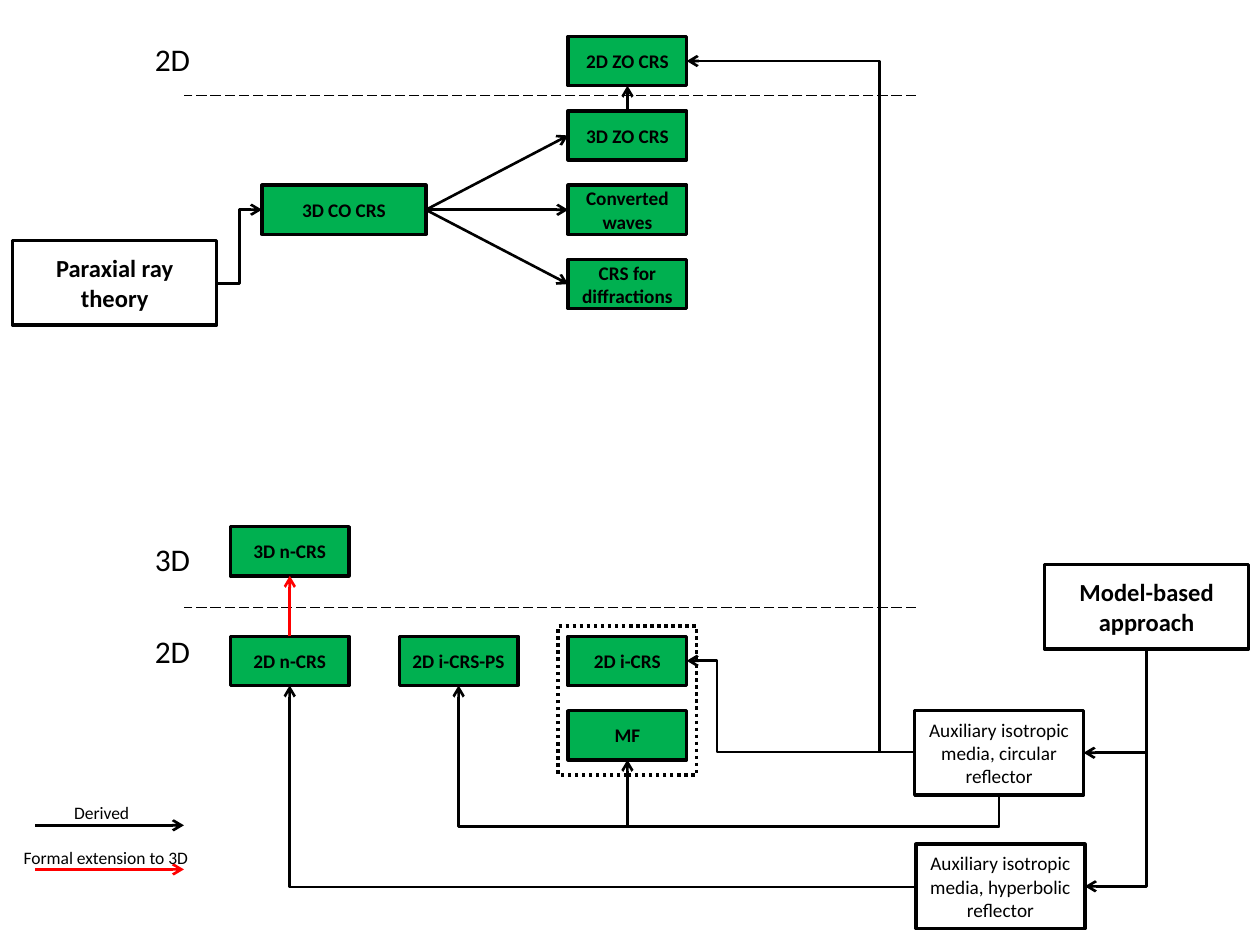
from lxml import etree
from pptx import Presentation
from pptx.dml.color import RGBColor
from pptx.enum.dml import MSO_LINE
from pptx.enum.shapes import MSO_CONNECTOR, MSO_SHAPE
from pptx.enum.text import MSO_ANCHOR, PP_ALIGN
from pptx.oxml.ns import qn
from pptx.util import Inches, Pt

RECT = MSO_SHAPE.RECTANGLE
LINE, ELBOW = MSO_CONNECTOR.STRAIGHT, MSO_CONNECTOR.ELBOW
DASH, DOTS = MSO_LINE.LONG_DASH, MSO_LINE.ROUND_DOT
MIDDLE, CENTER = MSO_ANCHOR.MIDDLE, PP_ALIGN.CENTER

THEME = {
    "font": "Calibri",
    "ink": RGBColor(0x00, 0x00, 0x00),
    "green": RGBColor(0x00, 0xB0, 0x50),
    "red": RGBColor(0xFF, 0x00, 0x00),
    "level": 18, "source": 14, "node": 11, "key": 10,
    "frame": 2, "arrow": 1.5, "rule": 0.75,
}

# Grid in inches: node columns and rows share one size and pitch
WIDE, HIGH = 0.94, 0.39
COLS = [1.83 + 1.34 * i for i in range(3)]
TOP = [0.29 + 0.59 * i for i in range(4)]
LOW = [5.05 + 0.59 * i for i in range(2)]
EXTRA = 4.18
MIDS = [x + WIDE / 2 for x in COLS]
EDGE = COLS[2] + WIDE
ROOT = (2.08, TOP[2], 1.3, HIGH)
RAY = (0.1, 1.91, 1.62, 0.67)
MODEL = (8.29, 4.48, 1.62, 0.67)
ROUND = (7.26, 5.64, 1.34, 0.67)
HYPER = (7.27, 6.7, 1.34, 0.67)
KEY = (0.28, 1.46)

deck = Presentation()
deck.slide_width, deck.slide_height = Inches(10), Inches(7.5)
slide = deck.slides.add_slide(deck.slide_layouts[6])
shapes = slide.shapes


def write(frame, text, size, bold=False):
    frame.text = text
    for run in frame.paragraphs[0].runs:
        run.font.name = THEME["font"]
        run.font.size = Pt(THEME[size])
        run.font.bold = bold
        run.font.color.rgb = THEME["ink"]


def link(start, end, turn=None, bend=None, color="ink", width="arrow", tip="tailEnd"):
    """Join two points; turn is None, "corner", "across" or "down", bend the
    x (across) or y (down) of the middle run, tip the end with the arrowhead."""
    (x1, y1), (x2, y2) = start, end
    if turn == "down":  # lay the box on its side, then rotate it a quarter turn
        cx, cy = (x1 + x2) / 2, (y1 + y2) / 2
        half, rise = (y1 - y2) / 2, (x1 - x2) / 2
        ends = (cx + half, cy - rise, cx - half, cy + rise)
    else:
        ends = (x1, y1, x2, y2)
    wire = shapes.add_connector(ELBOW if turn else LINE, *map(Inches, ends))
    wire.line.color.rgb = THEME[color]
    wire.line.width = Pt(THEME[width])
    props = wire._element.spPr
    shape = props.find(qn("a:prstGeom"))
    if turn == "corner":
        shape.set("prst", "bentConnector2")
    elif turn:
        share = (bend - x1) / (x2 - x1) if turn == "across" else (bend - y1) / (y2 - y1)
        guide = etree.SubElement(shape.find(qn("a:avLst")), qn("a:gd"))
        guide.set("name", "adj1")
        guide.set("fmla", f"val {round(share * 100000)}")
    if turn == "down":
        props.find(qn("a:xfrm")).set("rot", "5400000")
    if tip:
        etree.SubElement(props.find(qn("a:ln")), qn("a:" + tip)).set("type", "arrow")
    etree.SubElement(props, qn("a:effectLst"))
    return wire


# Dashed rules between the 2D and 3D levels
for y in (0.76, 4.82):
    rule = link((7.27, y), (1.46, y), width="rule", tip=None)
    rule.line.dash_style = DASH

# Boxes: text, place, type size, bold, fill
nodes = [
    ("2D ZO CRS", COLS[2], TOP[0]),
    ("3D ZO CRS", COLS[2], TOP[1]),
    ("Converted waves", COLS[2], TOP[2]),
    ("CRS for diffractions", COLS[2], TOP[3]),
    ("3D n-CRS", COLS[0], EXTRA),
    ("2D n-CRS", COLS[0], LOW[0]),
    ("2D i-CRS-PS", COLS[1], LOW[0]),
    ("2D i-CRS", COLS[2], LOW[0]),
    ("MF", COLS[2], LOW[1]),
]
boxes = [(text, (x, y, WIDE, HIGH), "node", True, "green") for text, x, y in nodes]
boxes += [
    ("3D CO CRS", ROOT, "node", True, "green"),
    ("Paraxial ray theory", RAY, "source", True, None),
    ("Model-based approach", MODEL, "source", True, None),
    ("Auxiliary isotropic media, circular reflector", ROUND, "node", False, None),
    ("Auxiliary isotropic media, hyperbolic reflector", HYPER, "node", False, None),
    ("", (4.43, 4.97, 1.1, 1.18), "node", False, None),
]
for text, place, size, bold, fill in boxes:
    box = shapes.add_shape(RECT, *map(Inches, place))
    box.shadow.inherit = False
    if fill:
        box.fill.solid()
        box.fill.fore_color.rgb = THEME[fill]
    else:
        box.fill.background()
    box.line.color.rgb = THEME["ink"]
    box.line.width = Pt(THEME["frame"])
    if not text:
        box.line.dash_style = DOTS
        continue
    frame = box.text_frame
    frame.word_wrap = True
    frame.vertical_anchor = MIDDLE
    write(frame, text, size, bold)
    frame.paragraphs[0].alignment = CENTER

# Paraxial branch
fork = (ROOT[0] + ROOT[2], ROOT[1] + HIGH / 2)
for y in TOP[1:]:
    link(fork, (COLS[2], y + HIGH / 2))
link((RAY[0] + RAY[2], 2.25), (ROOT[0], fork[1]), "across", 1.9)
link((MIDS[2], TOP[1]), (MIDS[2], TOP[0] + HIGH))

# Model-based branch
stem = (MODEL[0] + MODEL[2] / 2, MODEL[1] + MODEL[3])
for x, y, w, h in (ROUND, HYPER):
    link((x + w, y + h / 2), stem, "corner", tip="headEnd")
link((HYPER[0], 7.04), (MIDS[0], LOW[0] + HIGH), "corner")
for row, bend in ((LOW[0], 5.69), (TOP[0], 6.98)):
    link((ROUND[0], 5.97), (EDGE, row + HIGH / 2), "across", bend)
foot = (ROUND[0] + ROUND[2] / 2, ROUND[1] + ROUND[3])
for x, row in ((MIDS[2], LOW[1]), (MIDS[1], LOW[0])):
    link(foot, (x, row + HIGH), "down", 6.56)
link((MIDS[0], LOW[0]), (MIDS[0], EXTRA + HIGH), color="red")

# Key
for y, color in ((6.55, "ink"), (6.9, "red")):
    link((KEY[0], y), (KEY[1], y), color=color)

# Labels
labels = [
    ("2D", (1.13, 0.27, 0.49, 0.4), "level"),
    ("3D", (1.13, 4.24, 0.49, 0.4), "level"),
    ("2D", (1.13, 4.97, 0.49, 0.4), "level"),
    ("Derived", (0.49, 6.32, 0.65, 0.27), "key"),
    ("Formal extension to 3D", (0.09, 6.67, 1.53, 0.27), "key"),
]
for text, place, size in labels:
    label = shapes.add_textbox(*map(Inches, place))
    label.text_frame.word_wrap = False
    write(label.text_frame, text, size)

deck.save("out.pptx")
